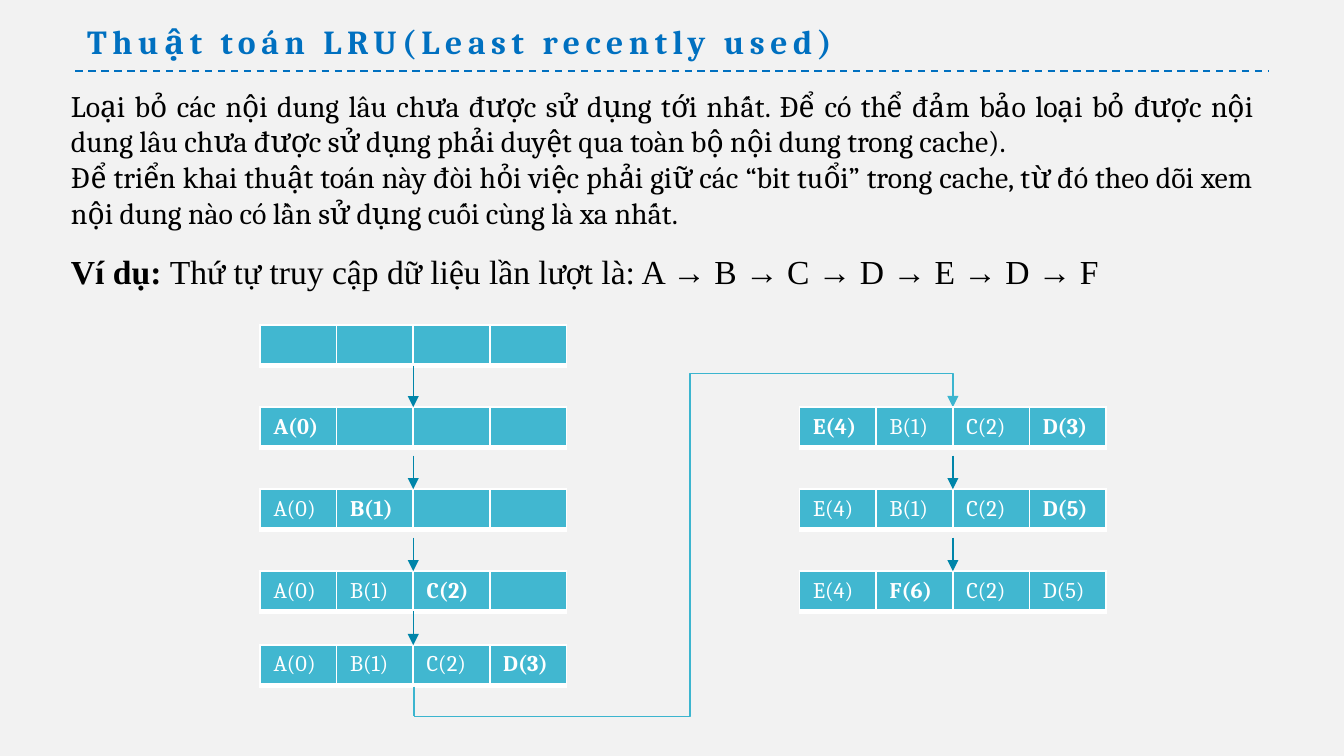
import pptx
import pptx.util
import pptx.dml.color
import pptx.enum.dml
import pptx.enum.shapes
import pptx.enum.text
import pptx.oxml
import pptx.oxml.ns
import lxml.etree

Inches = pptx.util.Inches
Pt = pptx.util.Pt
RGBColor = pptx.dml.color.RGBColor
qn = pptx.oxml.ns.qn
CONNECTOR = pptx.enum.shapes.MSO_CONNECTOR

BACKGROUND = RGBColor(0xF2, 0xF2, 0xF2)
BLUE = RGBColor(0x00, 0x70, 0xC0)
BLACK = RGBColor(0x00, 0x00, 0x00)
WHITE = RGBColor(0xFF, 0xFF, 0xFF)
CELL = RGBColor(0x41, 0xB7, 0xD0)
ARROW = RGBColor(0x00, 0x85, 0xA9)
BEND = RGBColor(0x3C, 0xB5, 0xCF)

CELL_WIDTH = 0.57
ROW_HEIGHT = 0.3
SLOTS = 4
BORDERS = (("a:lnL", 1), ("a:lnR", 1), ("a:lnT", 1), ("a:lnB", 3))

LEFT_STEPS = [
    (0, ["", "", "", ""], ()),
    (0.61, ["A(0)", "", "", ""], (0,)),
    (1.22, ["A(0)", "B(1)", "", ""], (1,)),
    (1.83, ["A(0)", "B(1)", "C(2)", ""], (2,)),
    (2.38, ["A(0)", "B(1)", "C(2)", "D(3)"], (3,)),
]
RIGHT_STEPS = [
    (0, ["E(4)", "B(1)", "C(2)", "D(3)"], (0, 3)),
    (0.61, ["E(4)", "B(1)", "C(2)", "D(5)"], (3,)),
    (1.22, ["E(4)", "F(6)", "C(2)", "D(5)"], (1,)),
]


def add_text(s, box, paragraphs, name, size, color, wrap=True, align=None):
    sp = s.shapes.add_textbox(*map(Inches, box))
    tf = sp.text_frame
    tf.word_wrap = wrap
    tf.auto_size = pptx.enum.text.MSO_AUTO_SIZE.SHAPE_TO_FIT_TEXT
    for i, runs in enumerate(paragraphs):
        p = tf.add_paragraph() if i else tf.paragraphs[0]
        p.alignment = align
        for text, bold in runs:
            r = p.add_run()
            r.text = text
            r.font.name = name
            r.font.size = Pt(size)
            r.font.bold = bold
            r.font.color.rgb = color
    return tf


def add_line(s, start, end, color, width=0.75, arrow=True, kind=CONNECTOR.STRAIGHT):
    line = s.shapes.add_connector(kind, *map(Inches, (*start, *end)))
    line.line.color.rgb = color
    line.line.width = Pt(width)
    if arrow:
        lxml.etree.SubElement(line.line._get_or_add_ln(), qn("a:tailEnd"), type="triangle")
    lxml.etree.SubElement(line._element.spPr, qn("a:effectLst"))
    return line


def add_title(s, x, y, width):
    text = "Thuật toán LRU(Least recently used)"
    tf = add_text(s, (x, y, 5.9, 0.4), [[(text, True)]], "Cambria", 18, BLUE, wrap=False)
    tf.paragraphs[0].runs[0].font._element.set("spc", "300")
    left, top = x + 0.01, y + 0.42
    rule = add_line(s, (left, top), (left + width, top), BLUE, 1, arrow=False)
    rule.line.dash_style = pptx.enum.dml.MSO_LINE.DASH


def add_body(s, x, y, width):
    paragraphs = [
        [("Loại bỏ các nội dung lâu chưa được sử dụng tới nhất. Để có thể đảm bảo loại bỏ "
          "được nội dung lâu chưa được sử dụng phải duyệt qua toàn bộ nội dung trong cache).", False)],
        [("Để triển khai thuật toán này đòi hỏi việc phải giữ các “bit tuổi” trong cache, từ đó "
          "theo dõi xem nội dung nào có lần sử dụng cuối cùng là xa nhất.", False)],
    ]
    add_text(s, (x, y, width, 1.18), paragraphs, "Cambria", 16, BLACK,
             align=pptx.enum.text.PP_ALIGN.JUSTIFY)
    example = [("Ví dụ: ", True),
               ("Thứ tự truy cập dữ liệu lần lượt là: A → B → C → D → E → D → F", False)]
    add_text(s, (x, y + 1.22, width, 0.4), [example], "Times New Roman", 18, BLACK)


def format_cell(cell, text, bold):
    cell.fill.solid()
    cell.fill.fore_color.rgb = CELL
    tcPr = cell._tc.get_or_add_tcPr()
    for i, (tag, width) in enumerate(BORDERS):
        ln = lxml.etree.Element(qn(tag), w=str(Pt(width)))
        fill = lxml.etree.SubElement(ln, qn("a:solidFill"))
        lxml.etree.SubElement(fill, qn("a:srgbClr"), val=str(WHITE))
        tcPr.insert(i, ln)
    p = cell.text_frame.paragraphs[0]
    if not text:
        lxml.etree.SubElement(p._p, qn("a:endParaRPr"), sz="1200")
        return
    p.text = text
    font = p.runs[0].font
    font.name = "Cambria"
    font.size = Pt(12)
    font.bold = bold
    font.color.rgb = WHITE


def add_cache(s, x, y, values, bold_slots):
    box = (x, y, SLOTS * CELL_WIDTH, ROW_HEIGHT)
    table = s.shapes.add_table(1, SLOTS, *map(Inches, box)).table
    table.first_row = False
    table.horz_banding = False
    for i, text in enumerate(values):
        format_cell(table.cell(0, i), text, i in bold_slots)


def add_steps(s, x, y, steps, arrow_lengths):
    center = x + SLOTS * CELL_WIDTH / 2
    for top, values, bold_slots in steps:
        add_cache(s, x, y + top, values, bold_slots)
    for (top, _, _), length in zip(steps[1:], arrow_lengths):
        add_line(s, (center, y + top - length), (center, y + top), ARROW)


def add_bend(s, start, end, drop):
    x, y = start
    add_line(s, start, (x, y + drop), BEND, arrow=False)
    bend = add_line(s, (x, y + drop), end, BEND, kind=CONNECTOR.ELBOW)
    geometry = bend._element.spPr.find(qn("a:prstGeom"))
    geometry.set("prst", "bentConnector4")
    guides = geometry.find(qn("a:avLst"))
    if guides is None:
        guides = lxml.etree.SubElement(geometry, qn("a:avLst"))
    for name, value in (("adj1", 51200), ("adj2", 110900)):
        lxml.etree.SubElement(guides, qn("a:gd"), name=name, fmla=f"val {value}")


def main():
    prs = pptx.Presentation()
    prs.slide_width = Inches(10)
    prs.slide_height = prs.slide_width * 9 // 16
    s = prs.slides.add_slide(prs.slide_layouts[6])
    s.background.fill.solid()
    s.background.fill.fore_color.rgb = BACKGROUND
    add_title(s, 0.55, 0.11, 8.88)
    add_body(s, 0.43, 0.6, 9)
    add_steps(s, 1.935, 2.42, LEFT_STEPS, (0.31, 0.25, 0.25, 0.25))
    add_bend(s, (3.08, 5.11), (7.09, 3.03), 0.22)
    add_steps(s, 5.95, 3.03, RIGHT_STEPS, (0.25, 0.25))
    prs.save("out.pptx")


if __name__ == "__main__":
    main()
